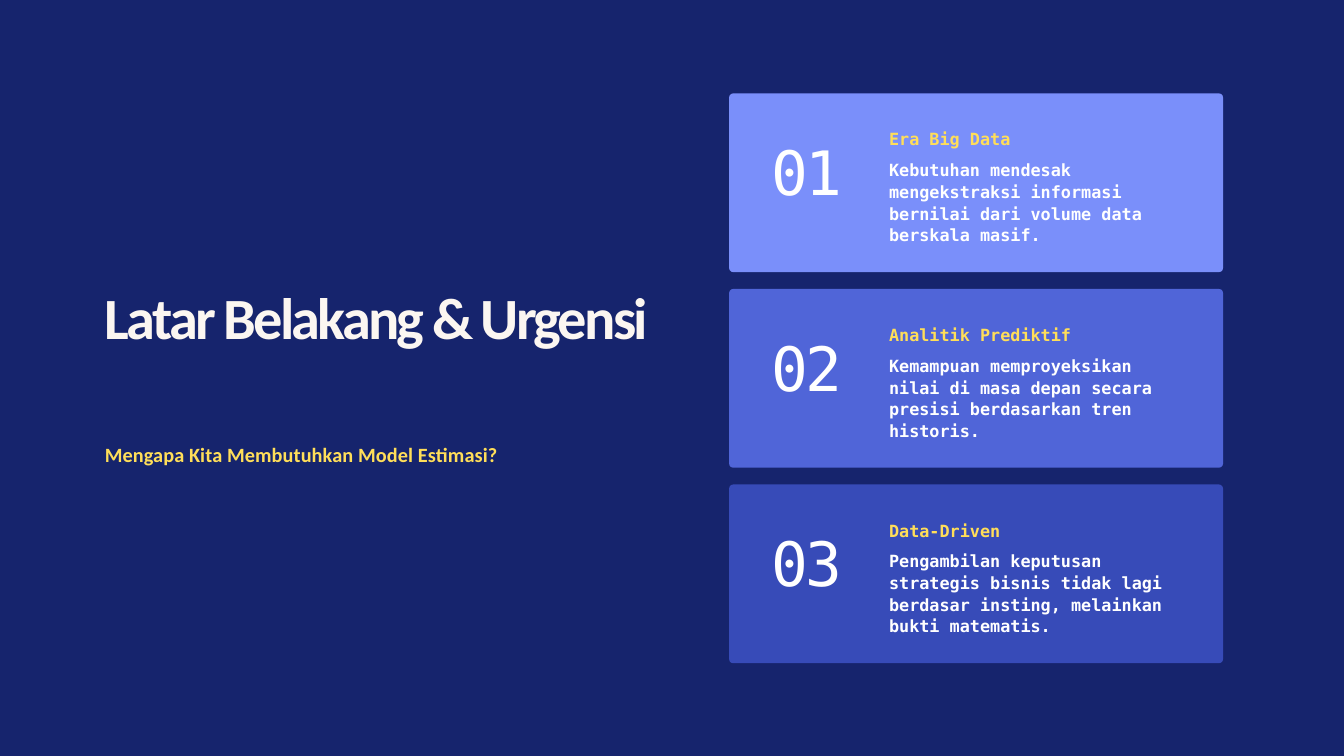
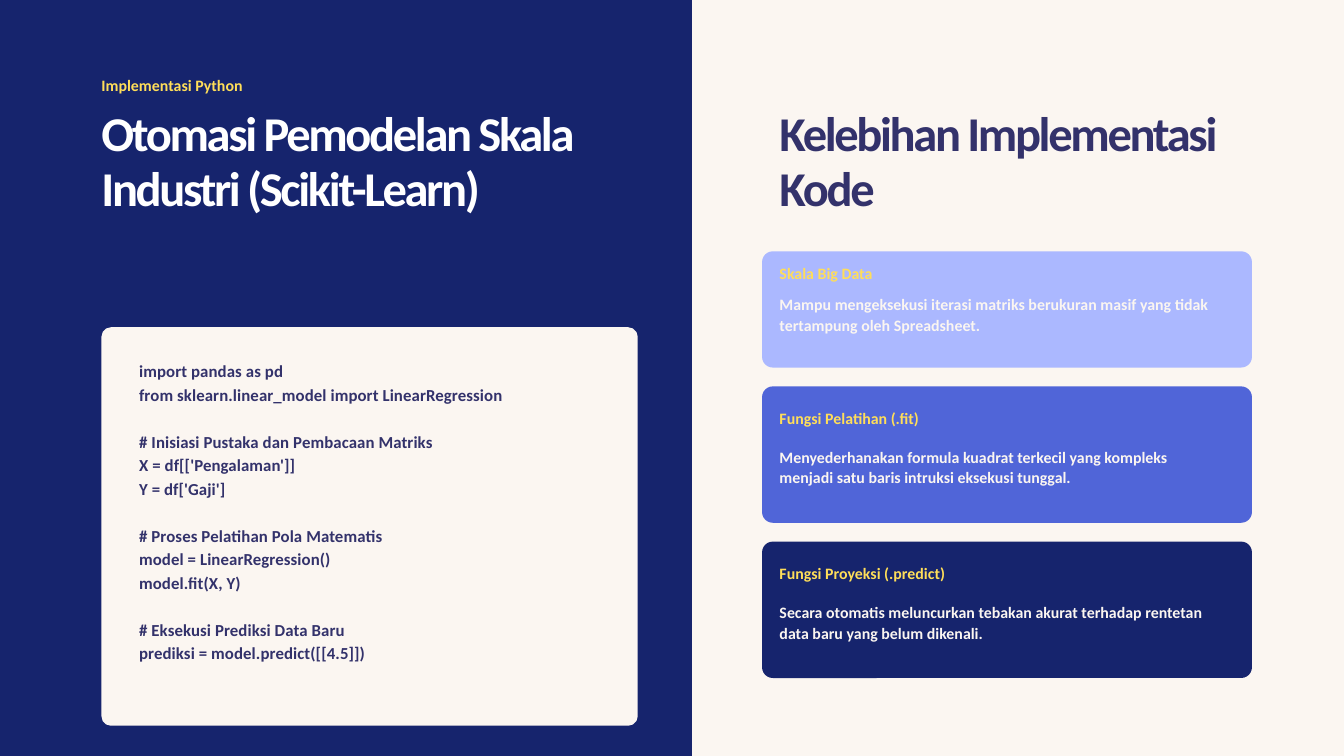
from dataclasses import dataclass

import pptx
import pptx.dml.color
import pptx.enum.shapes
import pptx.enum.text
import pptx.presentation
import pptx.slide
import pptx.util
from pptx.dml.color import RGBColor
from pptx.util import Inches

NAVY = RGBColor(0x16, 0x24, 0x6D)
ROYAL = RGBColor(0x37, 0x4B, 0xB8)
BLUE = RGBColor(0x50, 0x65, 0xD8)
PERIWINKLE = RGBColor(0x7A, 0x8F, 0xFA)
LAVENDER = RGBColor(0xAB, 0xB8, 0xFF)
INDIGO = RGBColor(0x33, 0x32, 0x6B)
CREAM = RGBColor(0xFB, 0xF6, 0xF1)
YELLOW = RGBColor(0xFF, 0xDE, 0x59)
WHITE = RGBColor(0xFF, 0xFF, 0xFF)

SANS = "Calibri"
MONO = "DejaVu Sans Mono"
LEFT = pptx.enum.text.PP_ALIGN.LEFT
CENTER = pptx.enum.text.PP_ALIGN.CENTER


@dataclass(frozen=True)
class TextStyle:
    font: str
    size: float
    line: float
    color: RGBColor
    bold: bool = True
    tracking: float = 0
    alignment: pptx.enum.text.PP_ALIGN = LEFT


@dataclass(frozen=True)
class ReasonCard:
    heading: str
    body: str
    fill: RGBColor


@dataclass(frozen=True)
class BenefitCard:
    heading: str
    body: str
    fill: RGBColor
    height: float
    heading_offset: float
    body_offset: float


MAIN_TITLE = TextStyle(SANS, 62.6, 71.4, CREAM, tracking=-3)
SUBTITLE = TextStyle(SANS, 21.7, 30.4, YELLOW, tracking=0.1)
CARD_NUMBER = TextStyle(MONO, 65.5, 60.3, WHITE, bold=False, tracking=-2.7, alignment=CENTER)
REASON_HEADING = TextStyle(MONO, 18, 23.2, YELLOW)
REASON_BODY = TextStyle(MONO, 18, 23.2, WHITE)
LIGHT_TITLE = TextStyle(SANS, 52, 59.3, WHITE, tracking=-2.5)
DARK_TITLE = TextStyle(SANS, 52, 59.3, INDIGO, tracking=-2.5)
LABEL = TextStyle(SANS, 17, 21.9, YELLOW)
BENEFIT_BODY = TextStyle(SANS, 17, 21.9, CREAM)
CODE = TextStyle(SANS, 18, 25.2, INDIGO, tracking=0.1)

REASONS = [
    ReasonCard("Era Big Data",
               "Kebutuhan mendesak mengekstraksi informasi bernilai dari volume data berskala masif.",
               PERIWINKLE),
    ReasonCard("Analitik Prediktif",
               "Kemampuan memproyeksikan nilai di masa depan secara presisi berdasarkan tren historis.",
               BLUE),
    ReasonCard("Data-Driven",
               "Pengambilan keputusan strategis bisnis tidak lagi berdasar insting, "
               "melainkan bukti matematis.",
               ROYAL),
]

BENEFITS = [
    BenefitCard("Skala Big Data",
                "Mampu mengeksekusi iterasi matriks berukuran masif yang tidak "
                "tertampung oleh Spreadsheet.",
                LAVENDER, 1.73, 0.16, 0.63),
    BenefitCard("Fungsi Pelatihan (.fit)",
                "Menyederhanakan formula kuadrat terkecil yang kompleks menjadi "
                "satu baris intruksi eksekusi tunggal.",
                BLUE, 2.03, 0.31, 0.89),
    BenefitCard("Fungsi Proyeksi (.predict)",
                "Secara otomatis meluncurkan tebakan akurat terhadap rentetan "
                "data baru yang belum dikenali.",
                NAVY, 2.03, 0.31, 0.89),
]

CODE_BLOCKS = [
    ["import pandas as pd",
     "from sklearn.linear_model import LinearRegression"],
    ["# Inisiasi Pustaka dan Pembacaan Matriks",
     "X = df[['Pengalaman']]",
     "Y = df['Gaji']"],
    ["# Proses Pelatihan Pola Matematis",
     "model = LinearRegression()",
     "model.fit(X, Y)"],
    ["# Eksekusi Prediksi Data Baru",
     "prediksi = model.predict([[4.5]])"],
]


def add_navy_slide(presentation: pptx.presentation.Presentation) -> pptx.slide.Slide:
    slide = presentation.slides.add_slide(presentation.slide_layouts[6])
    slide.background.fill.solid()
    slide.background.fill.fore_color.rgb = NAVY
    return slide


def add_panel(slide: pptx.slide.Slide, left: float, top: float, width: float,
              height: float, fill: RGBColor, radius: float = 0) -> None:
    """Draw a plain filled panel; a radius in inches rounds its corners."""
    shapes = pptx.enum.shapes.MSO_SHAPE
    kind = shapes.ROUNDED_RECTANGLE if radius else shapes.RECTANGLE
    panel = slide.shapes.add_shape(
        kind, Inches(left), Inches(top), Inches(width), Inches(height))
    if radius:
        panel.adjustments[0] = radius / min(width, height)
    panel.shadow.inherit = False
    panel.fill.solid()
    panel.fill.fore_color.rgb = fill
    panel.line.fill.background()


def add_text(slide: pptx.slide.Slide, left: float, top: float, width: float,
             height: float, style: TextStyle, *blocks: list[str]) -> None:
    """Write blocks of lines, with one line's gap before each later block."""
    box = slide.shapes.add_textbox(
        Inches(left), Inches(top), Inches(width), Inches(height))
    frame = box.text_frame
    frame.word_wrap = True
    frame.margin_left = frame.margin_top = frame.margin_right = frame.margin_bottom = 0
    for block_index, block in enumerate(blocks):
        for line_index, line in enumerate(block):
            first = block_index == line_index == 0
            paragraph = frame.paragraphs[0] if first else frame.add_paragraph()
            paragraph.alignment = style.alignment
            paragraph.line_spacing = pptx.util.Pt(style.line)
            if block_index and line_index == 0:
                paragraph.space_before = pptx.util.Pt(style.line)
            paragraph.font.name = style.font
            paragraph.font.size = pptx.util.Pt(style.size)
            paragraph.font.bold = style.bold
            paragraph.font.color.rgb = style.color
            run = paragraph.add_run()
            run.text = line
            if style.tracking:
                run._r.get_or_add_rPr().set("spc", str(round(style.tracking * 100)))


def build_background_slide(presentation: pptx.presentation.Presentation) -> None:
    slide = add_navy_slide(presentation)
    add_text(slide, 1.56, 4.24, 8.44, 2, MAIN_TITLE, ["Latar Belakang & Urgensi"])
    add_text(slide, 1.56, 6.52, 8.44, 0.81, SUBTITLE,
             ["Mengapa Kita Membutuhkan Model Estimasi?"])

    card_height, card_gap = 2.66, 0.25
    for index, reason in enumerate(REASONS):
        top = 1.39 + index * (card_height + card_gap)
        add_panel(slide, 10.85, top, 7.35, card_height, reason.fill, radius=0.06)
        add_text(slide, 11.36, top + 0.87, 1.3, 1, CARD_NUMBER, [f"{index + 1:02}"])
        add_text(slide, 13.23, top + 0.51, 4.47, 0.65, REASON_HEADING, [reason.heading])
        add_text(slide, 13.23, top + 0.97, 4.47, 0.97, REASON_BODY, [reason.body])


def build_implementation_slide(presentation: pptx.presentation.Presentation) -> None:
    slide = add_navy_slide(presentation)
    add_panel(slide, 10.3, 0, 9.7, 11.25, CREAM)

    add_text(slide, 1.51, 1.11, 2.96, 0.29, LABEL, ["Implementasi Python"])
    add_text(slide, 1.51, 1.57, 7.47, 3.29, LIGHT_TITLE,
             ["Otomasi Pemodelan Skala Industri (Scikit-Learn)"])
    add_panel(slide, 1.51, 4.87, 7.98, 5.93, CREAM, radius=0.14)
    add_text(slide, 2.07, 5.32, 6.58, 4.8, CODE, *CODE_BLOCKS)

    add_text(slide, 11.6, 1.57, 7.47, 2.47, DARK_TITLE, ["Kelebihan Implementasi Kode"])
    top, card_gap = 3.74, 0.28
    for benefit in BENEFITS:
        add_panel(slide, 11.34, top, 7.29, benefit.height, benefit.fill, radius=0.16)
        add_text(slide, 11.6, top + benefit.heading_offset, 4.7, 0.29,
                 LABEL, [benefit.heading])
        add_text(slide, 11.6, top + benefit.body_offset, 6.54, 0.59,
                 BENEFIT_BODY, [benefit.body])
        top += benefit.height + card_gap


def main() -> None:
    presentation = pptx.Presentation()
    presentation.slide_width = Inches(20)
    presentation.slide_height = Inches(11.25)
    build_background_slide(presentation)
    build_implementation_slide(presentation)
    presentation.save("out.pptx")


if __name__ == "__main__":
    main()
